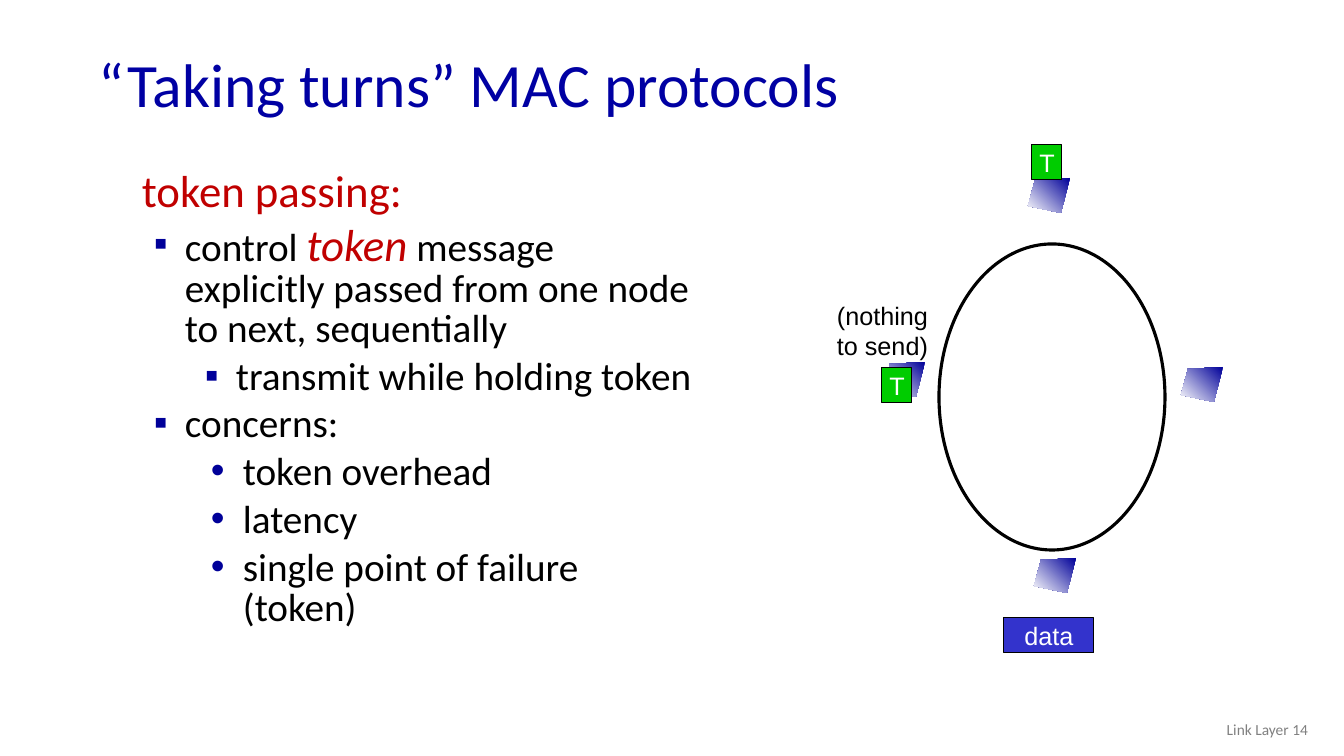
import pptx
import pptx.util
import pptx.dml.color
import pptx.enum.shapes
import pptx.enum.text
import pptx.oxml
import pptx.oxml.ns
import lxml.etree

PX = 914400 / 100.8
COLORS = {
    "title": "0000A3", "accent": "C00000", "body": "000000", "bullet": "000099",
    "token": "00CC00", "data": "3333CC", "white": "FFFFFF", "footer": "808080",
}
ALIGN = pptx.enum.text.PP_ALIGN
MIDDLE = pptx.enum.text.MSO_ANCHOR.MIDDLE
SHAPES = pptx.enum.shapes.MSO_SHAPE


def px(*lengths):
    """Turn pixel lengths into EMU."""
    return [pptx.util.Emu(round(length * PX)) for length in lengths]


def set_font(font, size, color, face="Calibri"):
    font.size = pptx.util.Pt(size)
    font.name = face
    font.color.rgb = pptx.dml.color.RGBColor.from_string(COLORS[color])


deck = pptx.Presentation()
deck.slide_width, deck.slide_height = px(1344, 756)
slide = deck.slides.add_slide(deck.slide_layouts[6])

# Title and footer
for text, box, size, color, align in [
    ("“Taking turns” MAC protocols", (89, 38, 1159, 99), 44, "title", ALIGN.LEFT),
    ("Link Layer 14", (1016, 711, 302, 40), 11, "footer", ALIGN.RIGHT),
]:
    frame = slide.shapes.add_textbox(*px(*box)).text_frame
    frame.word_wrap = True
    frame.vertical_anchor = MIDDLE
    line = frame.paragraphs[0]
    line.text = text
    line.alignment = align
    line.line_spacing = 0.9
    set_font(line.font, size, color)

# Token passing notes: level, left margin, hanging indent, bullet, runs
PLAIN, KEY = (28, "body", False), (32, "accent", True)
notes = [
    (0, 38, 38, None, [("token passing:", (32, "accent", False))]),
    (0, 43, 31, "▪", [
        ("control ", PLAIN), ("token", KEY),
        (" message explicitly passed from one node to next, sequentially", PLAIN)]),
    (1, 94, 31, "▪", [("transmit while holding token", PLAIN)]),
    (0, 43, 31, "▪", [("concerns:", PLAIN)]),
    (1, 101, 32, "•", [("token overhead", PLAIN)]),
    (1, 101, 32, "•", [("latency", PLAIN)]),
    (1, 101, 32, "•", [("single point of failure (token)", PLAIN)]),
]
notes_frame = slide.shapes.add_textbox(*px(132, 166, 573, 512)).text_frame
notes_frame.word_wrap = True
for index, (level, margin, hanging, bullet, runs) in enumerate(notes):
    note = notes_frame.paragraphs[0] if index == 0 else notes_frame.add_paragraph()
    note.level = level
    properties = note._p.get_or_add_pPr()
    margin_emu, hanging_emu = px(margin, hanging)
    properties.set("marL", str(margin_emu))
    properties.set("indent", str(-hanging_emu))
    if bullet:
        bullet_color = lxml.etree.SubElement(properties, pptx.oxml.ns.qn("a:buClr"))
        lxml.etree.SubElement(
            bullet_color, pptx.oxml.ns.qn("a:srgbClr"), val=COLORS["bullet"])
        lxml.etree.SubElement(
            properties, pptx.oxml.ns.qn("a:buFont"), typeface="Arial")
        lxml.etree.SubElement(properties, pptx.oxml.ns.qn("a:buChar"), char=bullet)
    note.line_spacing = 0.85
    if index:
        note.space_before = pptx.util.Pt(5.6)
    for text, (size, color, italic) in runs:
        if len(runs) == 1:
            note.text = text
            font = note.font
        else:
            run = note.add_run()
            run.text = text
            font = run.font
        set_font(font, size, color)
        font.italic = italic

# Stations around the ring
for left, top in [(1181, 367), (883, 362), (1028, 178), (1034, 558)]:
    outline = slide.shapes.build_freeform(*px(left + 42, top), scale=1.0)
    outline.add_line_segments(
        [px(left + x, top + y) for x, y in [(7, 2), (0, 28), (33, 35)]], close=True)
    station = outline.convert_to_shape()
    station.shadow.inherit = False
    station.line.fill.background()
    station.fill.gradient()
    station.fill.gradient_angle = 225
    for stop, color in zip(station.fill.gradient_stops, ("bullet", "white")):
        stop.color.rgb = pptx.dml.color.RGBColor.from_string(COLORS[color])

# Ring, tokens and data frame
for kind, box, fill, width, text in [
    (SHAPES.OVAL, (939, 244, 226, 306), None, 2.25, ""),
    (SHAPES.RECTANGLE, (1032, 145, 30, 35), "token", 0.75, "T"),
    (SHAPES.RECTANGLE, (1004, 618, 90, 35), "data", 0.75, "data"),
    (SHAPES.RECTANGLE, (882, 368, 30, 35), "token", 0.75, "T"),
]:
    part = slide.shapes.add_shape(kind, *px(*box))
    part.shadow.inherit = False
    part.line.width = pptx.util.Pt(width)
    part.line.color.rgb = pptx.dml.color.RGBColor.from_string(COLORS["body"])
    if fill is None:
        part.fill.background()
        continue
    part.fill.solid()
    part.fill.fore_color.rgb = pptx.dml.color.RGBColor.from_string(COLORS[fill])
    part.text_frame.word_wrap = False
    part.text_frame.vertical_anchor = MIDDLE
    label = part.text_frame.paragraphs[0]
    label.text = text
    label.alignment = ALIGN.CENTER
    set_font(label.font, 18, "white", "Arial")

# Remark beside the idle station
remark_frame = slide.shapes.add_textbox(*px(827, 295, 111, 71)).text_frame
remark_frame.word_wrap = False
remark_frame.text = "(nothing\nto send)"
for remark in remark_frame.paragraphs:
    set_font(remark.font, 18, "body", "Arial")

deck.save("out.pptx")
